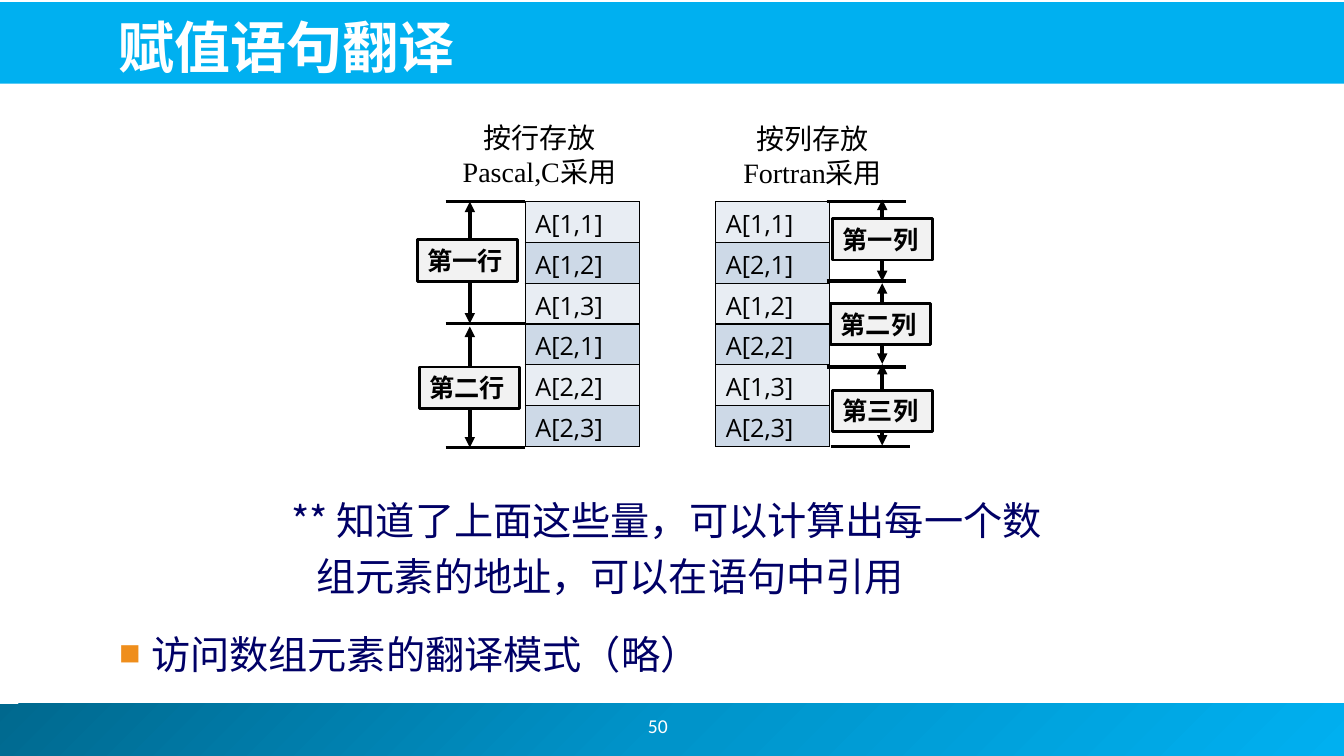
from copy import deepcopy
from dataclasses import dataclass

from lxml import etree
from pptx import Presentation
from pptx.dml.color import RGBColor
from pptx.enum.shapes import MSO_CONNECTOR, MSO_SHAPE
from pptx.enum.text import MSO_ANCHOR, MSO_AUTO_SIZE, PP_ALIGN
from pptx.oxml.ns import qn
from pptx.util import Inches, Pt

RECT = MSO_SHAPE.RECTANGLE
STRAIGHT = MSO_CONNECTOR.STRAIGHT
TOP, MIDDLE, BOTTOM = MSO_ANCHOR.TOP, MSO_ANCHOR.MIDDLE, MSO_ANCHOR.BOTTOM
LEFT, CENTER = PP_ALIGN.LEFT, PP_ALIGN.CENTER
NO_FIT, GROW = MSO_AUTO_SIZE.NONE, MSO_AUTO_SIZE.SHAPE_TO_FIT_TEXT


@dataclass(frozen=True)
class Theme:
    cjk: str = "Noto Sans CJK JP"
    serif: str = "Times New Roman"
    cell_font: str = "Open Sans"
    number_font: str = "Calibri"
    bar: str = "00B0F0"
    footer: tuple = ("00688E", "0094CA", "00B0F0")
    white: str = "FFFFFF"
    ink: str = "000000"
    body: str = "000066"
    bullet: str = "EF8E1C"
    label: str = "F2F2F2"
    bands: tuple = ("E8EDF3", "CDD9E7")
    title_size: int = 40
    body_size: int = 28
    heading_size: int = 20
    label_size: int = 18
    number_size: int = 14


def rgb(color):
    return RGBColor.from_string(color)


def child(parent, tag, **attrs):
    return etree.SubElement(parent, qn(tag), attrs)


def add_text(p, text, *, font, size, color, bold=False, align=LEFT):
    """Append one formatted run to a paragraph."""
    p.alignment = align
    r = p.add_run()
    r.text = text
    r.font.name, r.font.size, r.font.bold = font, Pt(size), bold
    r.font.color.rgb = rgb(color)
    child(r.font._element, "a:ea", typeface=font)


class SlideBuilder:
    def __init__(self, slide, theme):
        self.slide, self.theme = slide, theme
        self.shapes = slide.shapes

    def rect(self, x, y, w, h, fill=None, line=None):
        sp = self.shapes.add_shape(RECT, Inches(x), Inches(y), Inches(w), Inches(h))
        sp.shadow.inherit = False
        if fill:
            sp.fill.solid()
            sp.fill.fore_color.rgb = rgb(fill)
        if line:
            sp.line.color.rgb = rgb(line)
            sp.line.width = Pt(2)
        else:
            sp.line.fill.background()
        return sp

    def send_to_back(self, sp):
        self.shapes._spTree.insert(2, sp._element)

    def footer_bar(self, x, y, w, h):
        sp = self.rect(x, y, w, h)
        sp.fill.gradient()
        sp.fill.gradient_angle = 315
        first = sp.fill._xPr.find(".//" + qn("a:gs"))
        first.addnext(deepcopy(first))
        for stop, color, position in zip(sp.fill.gradient_stops, self.theme.footer, (0, 0.5, 1)):
            stop.color.rgb = rgb(color)
            stop.position = position
        return sp

    def placeholder(self, idx, x, y, w, h, anchor=TOP):
        sp = self.slide.placeholders[idx]
        sp.left, sp.top, sp.width, sp.height = map(Inches, (x, y, w, h))
        tf = sp.text_frame
        tf.word_wrap, tf.auto_size, tf.vertical_anchor = True, NO_FIT, anchor
        return tf.paragraphs[0]

    def title(self, text, *box):
        t = self.theme
        add_text(self.placeholder(0, *box, anchor=BOTTOM), text, font=t.cjk,
                 size=t.title_size, color=t.white, bold=True)

    def body(self, idx, text, box, level, margin, indent, spacing=1.0, bullet=None):
        t = self.theme
        p = self.placeholder(idx, *box)
        p.level, p.line_spacing, p.space_before = level, spacing, Pt(0)
        pPr = p._p.get_or_add_pPr()
        pPr.set("marL", str(Inches(margin)))
        pPr.set("indent", str(Inches(indent)))
        if bullet:
            child(child(pPr, "a:buClr"), "a:srgbClr", val=t.bullet)
            child(pPr, "a:buSzPct", val="55000")
            child(pPr, "a:buFont", typeface=t.cjk)
            child(pPr, "a:buChar", char=bullet)
        else:
            child(pPr, "a:buNone")
        add_text(p, text, font=t.cjk, size=t.body_size, color=t.body)

    def text_box(self, x, y, w, h, anchor=TOP, fit=NO_FIT):
        tf = self.shapes.add_textbox(Inches(x), Inches(y), Inches(w), Inches(h)).text_frame
        tf.word_wrap, tf.auto_size, tf.vertical_anchor = True, fit, anchor
        return tf

    def heading(self, x, y, storage, languages):
        t = self.theme
        tf = self.text_box(x, y, 1.92, 0.77, fit=GROW)
        style = dict(size=t.heading_size, color=t.ink, align=CENTER)
        add_text(tf.paragraphs[0], storage, font=t.cjk, **style)
        p = tf.add_paragraph()
        add_text(p, languages, font=t.serif, **style)
        add_text(p, "采用", font=t.cjk, **style)

    def page_number(self, text, *box):
        t = self.theme
        tf = self.text_box(*box, anchor=MIDDLE)
        add_text(tf.paragraphs[0], text, font=t.number_font, size=t.number_size,
                 color=t.white, align=CENTER)

    def memory_table(self, x, y, w, h, items):
        t = self.theme
        table = self.shapes.add_table(len(items), 1, Inches(x), Inches(y),
                                      Inches(w), Inches(h)).table
        table.first_row = table.horz_banding = False
        for i, item in enumerate(items):
            cell = table.cell(i, 0)
            cell.margin_left = cell.margin_right = Inches(0.1)
            cell.margin_top, cell.margin_bottom = Inches(0.05), 0
            tcPr = cell._tc.get_or_add_tcPr()
            for side in ("a:lnL", "a:lnR", "a:lnT", "a:lnB"):
                ln = child(tcPr, side, w=str(Pt(1)))
                child(child(ln, "a:solidFill"), "a:srgbClr", val=t.ink)
            cell.fill.solid()
            cell.fill.fore_color.rgb = rgb(t.bands[i % 2])
            add_text(cell.text_frame.paragraphs[0], item, font=t.cell_font,
                     size=t.label_size, color=t.ink)

    def line(self, x1, y1, x2, y2, arrows=False):
        cx = self.shapes.add_connector(STRAIGHT, Inches(x1), Inches(y1), Inches(x2), Inches(y2))
        cx.line.color.rgb = rgb(self.theme.ink)
        cx.line.width = Pt(2.5)
        if arrows:
            ln = cx.line._get_or_add_ln()
            child(ln, "a:headEnd", type="triangle")
            child(ln, "a:tailEnd", type="triangle")
        child(cx._element.spPr, "a:effectLst")

    def label(self, x, y, text):
        t = self.theme
        sp = self.rect(x, y, 0.99, 0.41, t.label, t.ink)
        tf = sp.text_frame
        tf.word_wrap, tf.vertical_anchor = True, MIDDLE
        add_text(tf.paragraphs[0], text, font=t.cjk, size=t.label_size, color=t.ink, bold=True)

    def brackets(self, ticks, arrow_x, spans, labels):
        for x, y in ticks:
            self.line(x, y, x + 0.79, y)
        for top, bottom in spans:
            self.line(arrow_x, top, arrow_x, bottom, arrows=True)
        for x, y, text in labels:
            self.label(x, y, text)


def main():
    prs = Presentation()
    prs.slide_width, prs.slide_height = Inches(13.33), Inches(7.5)
    theme = Theme()
    s = SlideBuilder(prs.slides.add_slide(prs.slide_layouts[3]), theme)

    # Bars, title and page number
    s.send_to_back(s.rect(-0.02, 0.02, 13.36, 0.81, theme.bar))
    s.send_to_back(s.footer_bar(-0.05, 6.98, 13.39, 0.52))
    s.title("赋值语句翻译", 1.08, 0.05, 11.81, 0.79)
    s.page_number("50", 5.08, 6.95, 2.89, 0.5)

    # Body text
    s.body(1, "** 知道了上面这些量，可以计算出每一个数组元素的地址，可以在语句中引用",
           (1.79, 4.78, 8.9, 1.5), level=2, margin=1.25, indent=-0.25, spacing=1.2)
    s.body(2, "访问数组元素的翻译模式（略）", (0.59, 6.2, 8.9, 0.91),
           level=1, margin=0.81, indent=-0.31, bullet="■")

    # Array layouts in memory
    by_row = [f"A[{i},{j}]" for i in (1, 2) for j in (1, 2, 3)]
    by_column = [f"A[{i},{j}]" for j in (1, 2, 3) for i in (1, 2)]
    s.heading(4.39, 1.15, "按行存放", "Pascal,C")
    s.heading(7.1, 1.16, "按列存放", "Fortran")
    s.memory_table(5.21, 2, 1.13, 2.43, by_row)
    s.memory_table(7.1, 2, 1.13, 2.43, by_column)

    # Row and column brackets
    s.brackets([(4.42, 2), (4.42, 3.21), (4.42, 4.44)], 4.66,
               [(2, 3.21), (3.24, 4.44)],
               [(4.14, 2.38, "第一行"), (4.16, 3.64, "第二行")])
    s.brackets([(8.2, 2), (8.2, 2.79), (8.2, 3.64), (8.24, 4.43)], 8.75,
               [(1.98, 2.79), (2.81, 3.61), (3.61, 4.42)],
               [(8.26, 2.17, "第一列"), (8.24, 3.01, "第二列"), (8.26, 3.87, "第三列")])

    prs.save("out.pptx")


if __name__ == "__main__":
    main()
